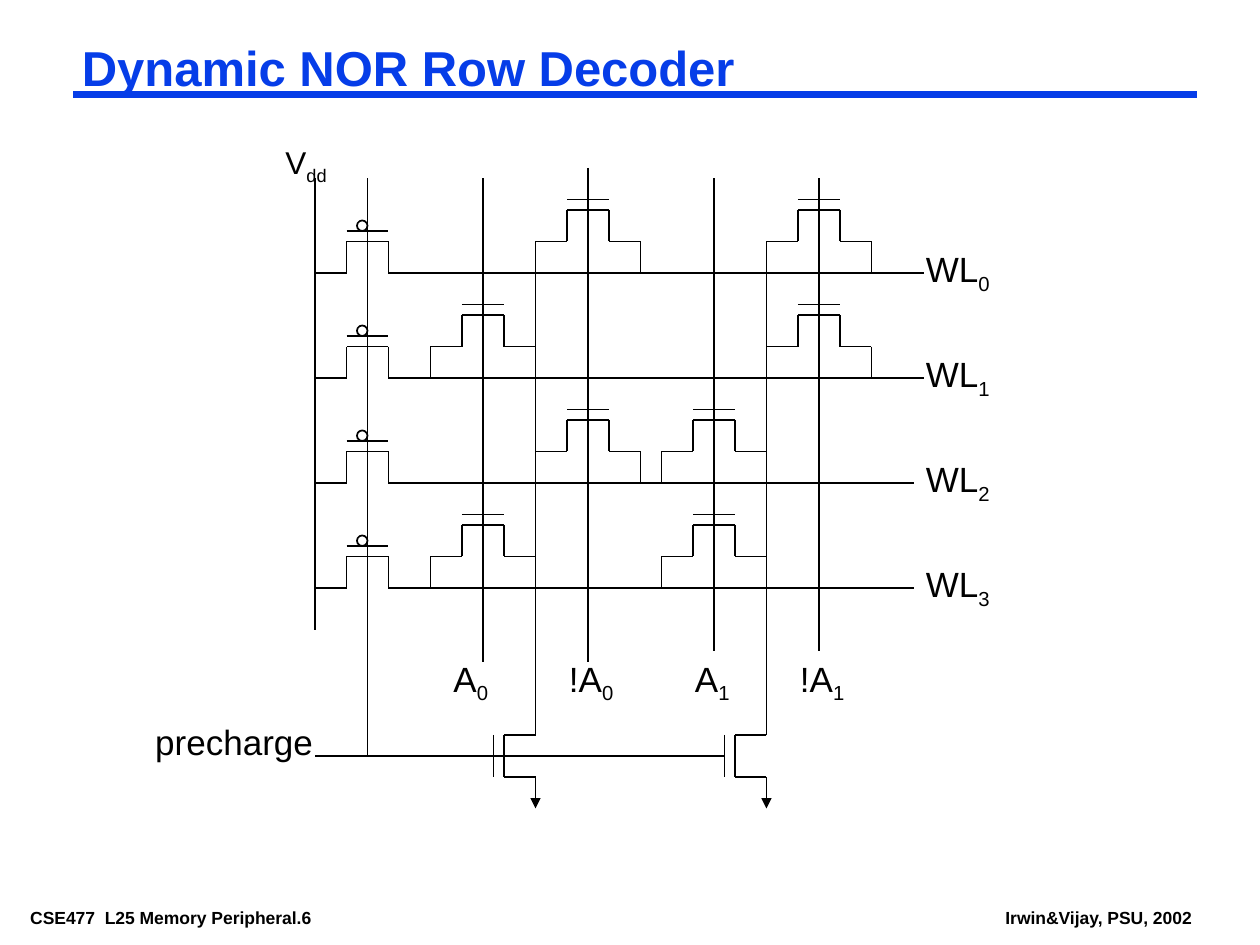
from lxml.etree import SubElement
from pptx import Presentation
from pptx.dml.color import RGBColor
from pptx.enum.shapes import MSO_CONNECTOR, MSO_SHAPE
from pptx.enum.text import MSO_ANCHOR, PP_ALIGN
from pptx.oxml.ns import qn
from pptx.util import Inches, Pt

BLACK, BLUE, FONT = "000000", "063DE8", "Arial"
TITLE = "Dynamic NOR Row Decoder"
FOOTERS = [("CSE477  L25 Memory Peripheral.6", 0.17, 2.96),
           ("Irwin&Vijay, PSU, 2002", 7.91, 1.63)]

# The circuit is drawn on a grid of twelfths of an inch.
GRID = 12
VDD_X, PRECHARGE_X, PRECHARGE_Y = 30, 35, 72
BIT_LINES = [51, 73]
# Address line: (base text, subscript, x, top, bottom, label left, drain side)
ADDRESS_LINES = [
    ("A", "0", 46, 17, 63, 42, -1),
    ("!A", "0", 56, 16, 63, 53, 1),
    ("A", "1", 68, 17, 62, 65, -1),
    ("!A", "1", 78, 17, 62, 75, 1),
]
# Word line: (subscript, y, right end, indexes of the address lines that gate it)
WORD_LINES = [
    ("0", 26, 88, (1, 3)),
    ("1", 36, 88, (0, 3)),
    ("2", 46, 87, (1, 2)),
    ("3", 56, 87, (0, 2)),
]


def color(hex_string):
    """Turn a hex string into a colour."""
    return RGBColor.from_string(hex_string)


def grid(value):
    """Turn grid units into a length."""
    return Inches(value / GRID)


def add_line(start, end, width=1, line_color=BLACK, arrow=False):
    """Draw a straight line between two points given as lengths."""
    line = slide.shapes.add_connector(MSO_CONNECTOR.STRAIGHT, *start, *end)
    line.line.color.rgb = color(line_color)
    line.line.width = Pt(width)
    if arrow:
        SubElement(line.line._get_or_add_ln(), qn("a:tailEnd"), type="triangle")
    SubElement(line._element.spPr, qn("a:effectLst"))


def wire(x1, y1, x2, y2, arrow=False):
    """Draw a wire between two grid points."""
    add_line((grid(x1), grid(y1)), (grid(x2), grid(y2)), arrow=arrow)


def wires(*points):
    """Draw a chain of wires through grid points."""
    for start, end in zip(points, points[1:]):
        wire(*start, *end)


def set_text(frame, runs, size, text_color=BLACK, bold=False,
             align=PP_ALIGN.LEFT, inset=(0.1, 0.05), wrap=True):
    """Fill a text frame; each run is (text, is_subscript)."""
    frame.word_wrap = wrap
    frame.vertical_anchor = MSO_ANCHOR.TOP
    frame.margin_left = frame.margin_right = Inches(inset[0])
    frame.margin_top = frame.margin_bottom = Inches(inset[1])
    paragraph = frame.paragraphs[0]
    paragraph.alignment = align
    for text, is_subscript in runs:
        run = paragraph.add_run()
        run.text = text
        run.font.name = FONT
        run.font.size = Pt(size)
        run.font.bold = bold
        run.font.color.rgb = color(text_color)
        if is_subscript:
            run._r.get_or_add_rPr().set("baseline", "-25000")


def add_label(base, subscript, x, y, width=9, size=20, align=PP_ALIGN.LEFT):
    """Add a circuit label at a grid point."""
    box = slide.shapes.add_textbox(grid(x), grid(y), grid(width), Inches(0.48))
    runs = [(base, False)] + ([(subscript, True)] if subscript else [])
    set_text(box.text_frame, runs, size, align=align)


def add_transistor(x, foot, gate_gap=1):
    """Draw an upright transistor centred on x with its leads at foot."""
    top = foot - 3
    wires((x - 5, foot), (x - 2, foot), (x - 2, top),
          (x + 2, top), (x + 2, foot), (x + 5, foot))
    wire(x - 2, top - gate_gap, x + 2, top - gate_gap)


def add_pull_up(y):
    """Draw a precharge transistor with its inverting bubble."""
    add_transistor(PRECHARGE_X, y)
    bubble = slide.shapes.add_shape(
        MSO_SHAPE.OVAL, grid(PRECHARGE_X - 1), grid(y - 5), grid(1), grid(1))
    bubble.shadow.inherit = False
    bubble.fill.background()
    bubble.line.color.rgb = color(BLACK)
    bubble.line.width = Pt(1)


def add_pull_down(x):
    """Draw a bit line with its evaluation transistor and ground arrow."""
    top, bottom = PRECHARGE_Y - 2, PRECHARGE_Y + 2
    wires((x, 23), (x, top), (x - 3, top), (x - 3, bottom), (x, bottom))
    wire(x - 4, top, x - 4, bottom)
    wire(x, bottom, x, bottom + 3, arrow=True)


presentation = Presentation()
presentation.slide_width, presentation.slide_height = Inches(10), Inches(7.5)
slide = presentation.slides.add_slide(presentation.slide_layouts[5])

for footer, left, width in FOOTERS:
    box = slide.shapes.add_textbox(Inches(left), Inches(7.17), Inches(width), Inches(0.22))
    set_text(box.text_frame, [(footer, False)], 10, bold=True,
             inset=(0.07, 0.03), wrap=False)

add_line((Inches(0.58), Inches(0.75)), (Inches(9.5), Inches(0.75)), 4.5, BLUE)
title = slide.shapes.title
title.left, title.top = Inches(0.58), Inches(0.33)
title.width, title.height = Inches(8.92), Inches(0.46)
set_text(title.text_frame, [(TITLE, False)], 28, BLUE, bold=True, inset=(0.07, 0.03))
title.text_frame.paragraphs[0].line_spacing = 0.87

wire(VDD_X, 17, VDD_X, 60)
wire(PRECHARGE_X, 17, PRECHARGE_X, PRECHARGE_Y)
wire(VDD_X, PRECHARGE_Y, BIT_LINES[-1] - 4, PRECHARGE_Y)
add_label("V", "dd", 26, 13, size=18)
add_label("precharge", "", 12, 68, width=19, align=PP_ALIGN.RIGHT)

for base, subscript, x, top, bottom, label_x, side in ADDRESS_LINES:
    wire(x, top, x, bottom)
    add_label(base, subscript, label_x, 62)

for subscript, y, right, gates in WORD_LINES:
    wire(PRECHARGE_X + 4, y, right, y)
    add_pull_up(y)
    add_label("WL", subscript, 87, y - 3)
    for gate in gates:
        x, side = ADDRESS_LINES[gate][2], ADDRESS_LINES[gate][-1]
        add_transistor(x, y - 3)
        wire(x + 5 * side, y - 3, x + 5 * side, y)

for x in BIT_LINES:
    add_pull_down(x)

presentation.save("out.pptx")
